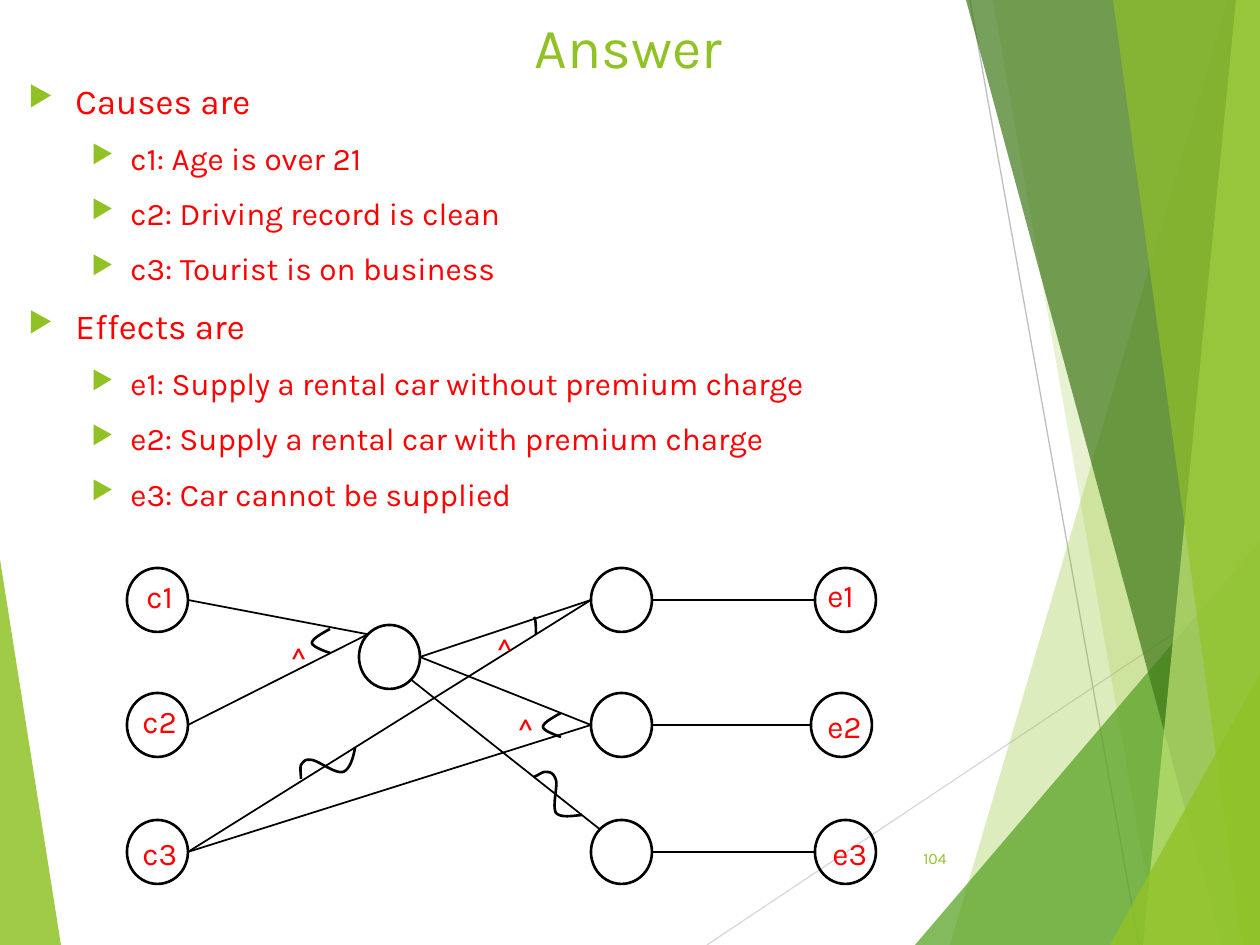
from lxml.etree import SubElement
from pptx import Presentation
from pptx.dml.color import RGBColor
from pptx.enum.shapes import MSO_CONNECTOR, MSO_SHAPE
from pptx.enum.text import MSO_ANCHOR as Anchor, PP_ALIGN as Align
from pptx.oxml.ns import qn
from pptx.util import Emu, Pt

PX = 914400 // 126
WIDTH, HEIGHT = 1260, 945
FONT = "Karla"
GREEN, RED, BLACK = "90C226", "FF0000", "000000"


def px(length):
    return Emu(round(length * PX))


def paint(color_format, color):
    color_format.rgb = RGBColor.from_string(color)


def style_text(paragraph, size, color):
    paragraph.font.name = FONT
    paragraph.font.size = Pt(size)
    paint(paragraph.font.color, color)


def add_text(slide, box, text, size, color, align=Align.LEFT, anchor=Anchor.TOP):
    frame = slide.shapes.add_textbox(*map(px, box)).text_frame
    frame.word_wrap = True
    frame.vertical_anchor = anchor
    paragraph = frame.paragraphs[0]
    paragraph.text = text
    paragraph.alignment = align
    style_text(paragraph, size, color)


def add_line(slide, start, end, color, width):
    line = slide.shapes.add_connector(MSO_CONNECTOR.STRAIGHT, *map(px, (*start, *end)))
    paint(line.line.color, color)
    line.line.width = Pt(width)
    SubElement(line._element.spPr, qn("a:effectLst"))


def add_outline(slide, box, points, close):
    left, top = box[:2]
    first, *rest = [(px(left + x), px(top + y)) for x, y in points]
    builder = slide.shapes.build_freeform(*first, scale=1.0)
    builder.add_line_segments(rest, close=close)
    shape = builder.convert_to_shape()
    shape.shadow.inherit = False
    return shape


def set_ink(shape):
    shape.fill.background()
    paint(shape.line.color, BLACK)
    shape.line.width = Pt(1.5)


def add_facet(slide, box, points, color, opacity):
    facet = add_outline(slide, box, points, close=True)
    facet.fill.solid()
    paint(facet.fill.fore_color, color)
    facet.line.fill.background()
    solid = facet._element.spPr.find(qn("a:solidFill"))
    SubElement(solid[0], qn("a:alpha"), val=str(opacity * 1000))


def curve_points(controls, steps=12):
    """Trace joined cubic curves: a start, then three points for each curve."""
    points = [controls[0]]
    for i in range(0, len(controls) - 1, 3):
        piece = controls[i:i + 4]
        for step in range(1, steps + 1):
            t = step / steps
            weights = ((1 - t) ** 3, 3 * t * (1 - t) ** 2, 3 * t * t * (1 - t), t ** 3)
            points.append(tuple(sum(w * p[axis] for w, p in zip(weights, piece))
                                for axis in (0, 1)))
    return points


def add_backdrop(slide, box):
    left, top, right, bottom = box
    add_facet(slide, box, [(0, 559), (61, bottom), (0, bottom)], GREEN, 85)
    for start, end, color in (((707, bottom), (right, 576), "D9D9D9"),
                              ((970, 0), (1139, bottom), "BFBFBF")):
        add_line(slide, (left + start[0], top + start[1]),
                 (left + end[0], top + end[1]), color, 0.75)

    # Each facet fills from its slanted edge to the right side
    facets = [
        ((1228, 0), (950, bottom), GREEN, 30),
        ((993, 0), (1158, bottom), GREEN, 20),
        ((right, 541), (915, bottom), "54A021", 72),
        ((966, 0), (1222, bottom), "3F7819", 70),
        ((1236, 0), (1143, bottom), "C0E474", 70),
        ((1113, 0), (1242, bottom), GREEN, 65),
        ((right, 674), (1110, bottom), GREEN, 80),
    ]
    for upper, lower, color, opacity in facets:
        points = [upper, lower, (right, bottom), (right, upper[1])]
        add_facet(slide, box, points, color, opacity)


def add_outline_list(slide, box, groups):
    frame = slide.shapes.add_textbox(*map(px, box)).text_frame
    frame.word_wrap = True
    rows = [(level, text) for heading, items in groups
            for level, text in [(0, heading)] + [(1, item) for item in items]]
    for i, (level, text) in enumerate(rows):
        paragraph = frame.add_paragraph() if i else frame.paragraphs[0]
        paragraph.text = text
        paragraph.level = level
        paragraph.space_before = Pt(10)
        style_text(paragraph, (20, 18)[level], RED)
        margin, indent = ((47, 47), (102, 39))[level]
        props = paragraph._p.get_or_add_pPr()
        props.set("marL", str(px(margin)))
        props.set("indent", str(px(-indent)))
        SubElement(SubElement(props, qn("a:buClr")), qn("a:srgbClr"), val=GREEN)
        SubElement(props, qn("a:buSzPct"), val="80000")
        SubElement(props, qn("a:buChar"), char="▶")


def add_cause_effect_graph(slide, box):
    left, top = box[:2]
    node_w, node_h = 61, 64
    rows = (0, 125, 252)

    # Nodes
    nodes = {"hub": (232, 57)}
    for number, y in enumerate(rows, 1):
        nodes[f"c{number}"] = (0, y)
        nodes[f"gate{number}"] = (464, y)
        nodes[f"e{number}"] = (684 if number == 2 else 688, y)
    for x, y in nodes.values():
        node = slide.shapes.add_shape(
            MSO_SHAPE.OVAL, *map(px, (left + x, top + y, node_w, node_h)))
        node.shadow.inherit = False
        set_ink(node)

    # Links between points on the node rims, as shares of the radii
    west, east, northwest, southeast = (-1, 0), (1, 0), (-0.71, -0.71), (0.71, 0.71)

    def rim(name, side):
        x, y = nodes[name]
        return (left + x + node_w / 2 * (1 + side[0]),
                top + y + node_h / 2 * (1 + side[1]))

    links = [
        ("c1", east, "hub", northwest), ("c2", east, "hub", northwest),
        ("hub", east, "gate1", west), ("hub", east, "gate2", west),
        ("hub", southeast, "gate3", northwest),
        ("c3", east, "gate1", west), ("c3", east, "gate2", west),
    ] + [(f"gate{n}", east, f"e{n}", west) for n in (1, 2, 3)]
    for source, source_side, target, target_side in links:
        add_line(slide, rim(source, source_side), rim(target, target_side), BLACK, 1)

    # AND arcs and NOT waves
    and_arc = [(203, 85), (194, 82), (185, 78), (185, 75), (185, 71), (194, 66), (203, 61)]
    marks = [
        and_arc,
        [(x + 231, y + 84) for x, y in and_arc],
        [(409, 66), (409, 59), (409, 52), (407, 49)],
        [(174, 211), (174, 206), (173, 201), (174, 197), (177, 193), (178, 191), (185, 192),
         (192, 193), (208, 206), (216, 204), (222, 202), (226, 192), (228, 180)],
        [(407, 209), (412, 207), (416, 203), (420, 204), (424, 204), (427, 206), (429, 212),
         (431, 218), (425, 238), (429, 245), (434, 250), (445, 248), (455, 247)],
    ]
    for controls in marks:
        set_ink(add_outline(slide, box, curve_points(controls), close=False))

    # Labels
    labels = [
        ("c1", 7, 3), ("c2", 3, 128), ("c3", 3, 260),
        ("e1", 688, 2), ("e2", 688, 133), ("e3", 693, 260),
        ("^", 151, 62), ("^", 357, 53), ("^", 378, 133),
    ]
    for text, x, y in labels:
        width = 34 if text == "^" else 61
        add_text(slide, (left + x, top + y, width, 50), text, 18, RED)


def main():
    prs = Presentation()
    prs.slide_width, prs.slide_height = px(WIDTH), px(HEIGHT)
    slide = prs.slides.add_slide(prs.slide_layouts[6])

    add_backdrop(slide, (0, 0, WIDTH, HEIGHT))
    add_text(slide, (16, 6, 1225, 77), "Answer", 32.4, GREEN, Align.CENTER)
    add_outline_list(slide, (16, 73, 1211, 465), [
        ("Causes are", ["c1: Age is over 21", "c2: Driving record is clean",
                        "c3: Tourist is on business"]),
        ("Effects are", ["e1: Supply a rental car without premium charge",
                         "e2: Supply a rental car with premium charge",
                         "e3: Car cannot be supplied"]),
    ])
    add_cause_effect_graph(slide, (127, 568, 749, 316))
    add_text(slide, (888, 833, 71, 50), "104", 9, GREEN, Align.RIGHT, Anchor.MIDDLE)

    prs.save("out.pptx")


if __name__ == "__main__":
    main()
